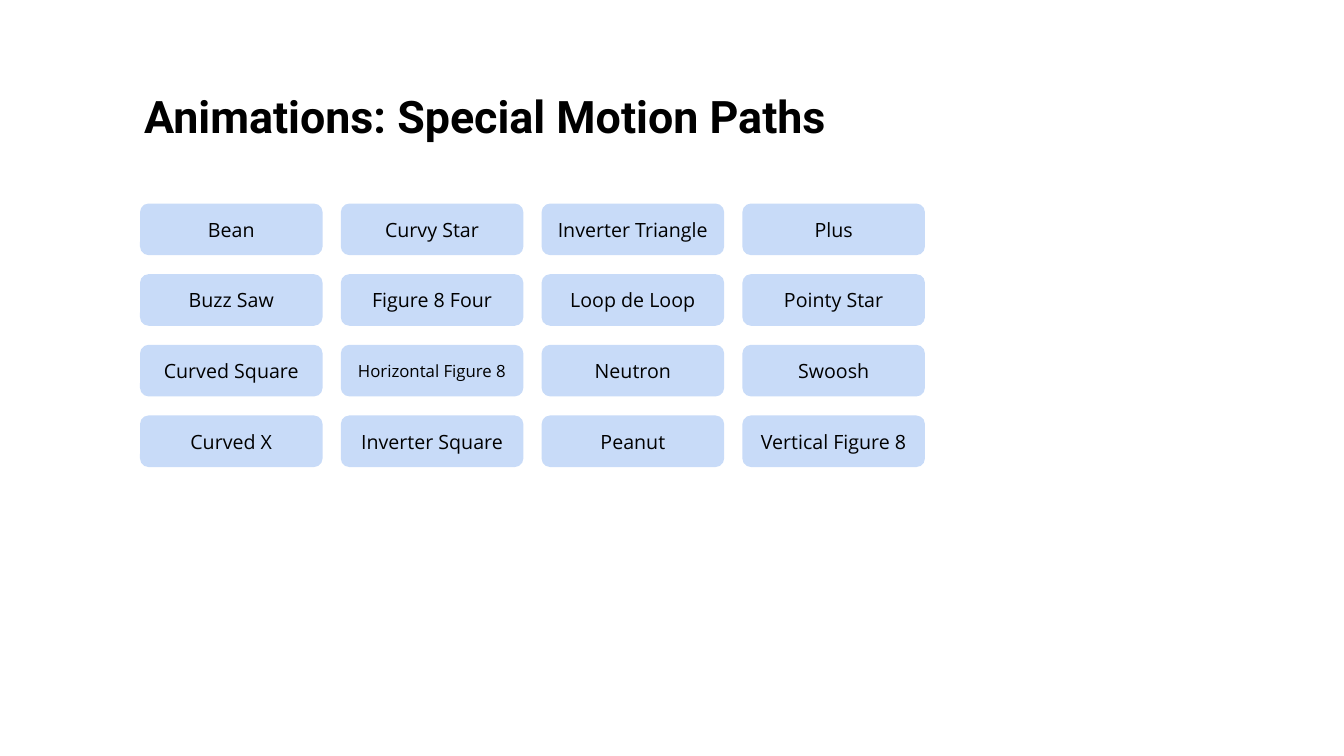
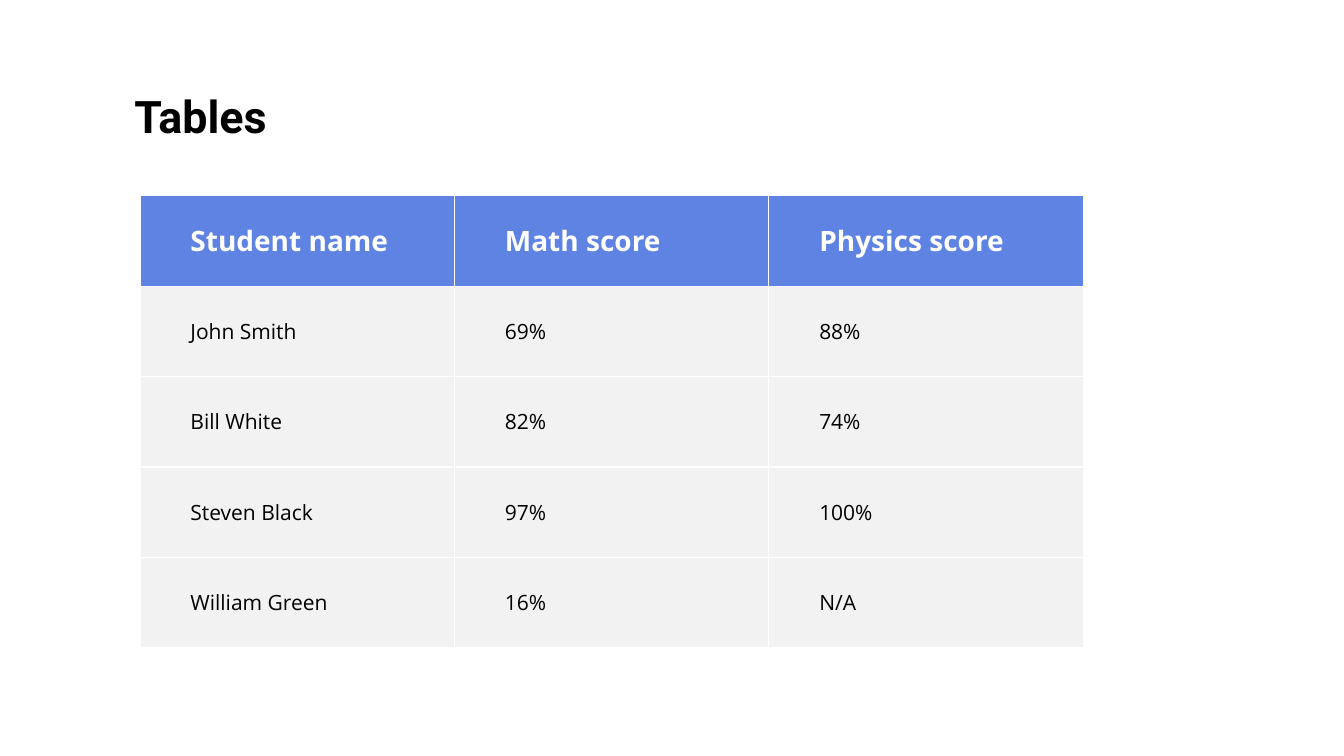
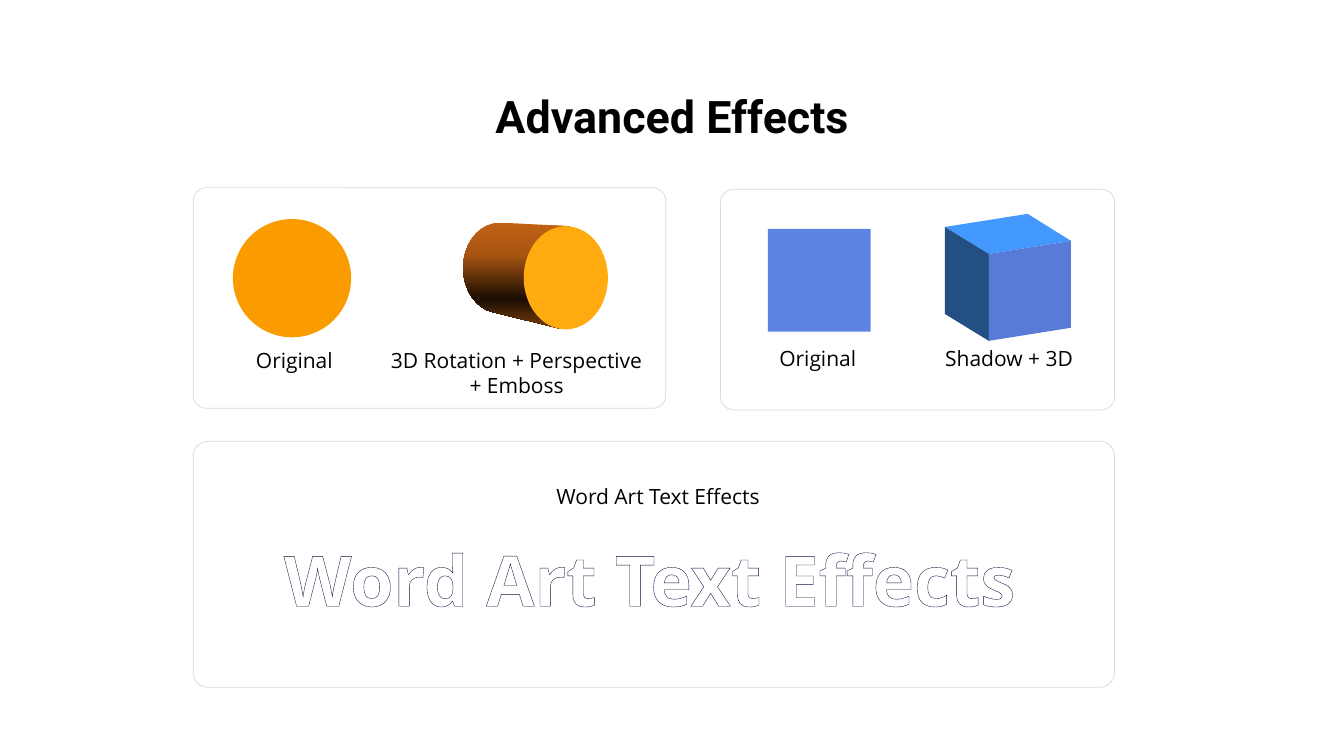
from copy import deepcopy
from dataclasses import dataclass
from math import cos, radians, sin

from lxml import etree
from pptx import Presentation
from pptx import util as u
from pptx.dml import color
from pptx.enum import shapes, text
from pptx.oxml import ns


@dataclass(frozen=True)
class Theme:
    heading: str = "Roboto"
    body: str = "Open Sans"
    ink: str = "000000"
    white: str = "FFFFFF"
    tile: str = "C8DBF8"
    blue: str = "5E83E2"
    row: str = "F2F2F2"
    rim: str = "D9D9D9"
    orange: str = "FA9B00"
    lit_orange: str = "FFAB10"
    cube_top: str = "4499FF"
    cube_side: str = "234F83"
    cube_front: str = "587BD7"
    outline: str = "130F3F"
    barrel: tuple = ((0, "C06214"), (0.3, "A85511"), (0.72, "1A0D02"), (1, "7A400D"))
    title_size: int = 32
    art_size: int = 50
    header_size: int = 20
    text_size: int = 15
    tile_size: int = 14
    small_size: int = 12


theme = Theme()
LEFT, CENTER = text.PP_ALIGN.LEFT, text.PP_ALIGN.CENTER
TOP, MIDDLE = text.MSO_ANCHOR.TOP, text.MSO_ANCHOR.MIDDLE


def write(frame, words, *, size=theme.text_size, font=theme.body, ink=theme.ink,
          bold=False, align=CENTER, anchor=TOP, wrap=True):
    frame.word_wrap = wrap
    frame.auto_size = text.MSO_AUTO_SIZE.NONE
    frame.vertical_anchor = anchor
    for index, line in enumerate(words.split("\n")):
        para = frame.add_paragraph() if index else frame.paragraphs[0]
        para.alignment = align
        span = para.add_run()
        span.text = line
        span.font.name = font
        span.font.size = u.Pt(size)
        span.font.bold = bold
        span.font.color.rgb = color.RGBColor.from_string(ink)
    return span


def paint(shape, fill, line=None):
    shape.shadow.inherit = False
    shape.fill.solid()
    shape.fill.fore_color.rgb = color.RGBColor.from_string(fill)
    if line:
        shape.line.color.rgb = color.RGBColor.from_string(line)
        shape.line.width = u.Pt(0.5)
    else:
        shape.line.fill.background()
    return shape


deck = Presentation()
deck.slide_width, deck.slide_height = u.Cm(33.87), u.Cm(19.05)

pages = []
for words, left, align in [
    ("Animations: Special Motion Paths", 3.38, LEFT),
    ("Tables", 3.13, LEFT),
    ("Advanced Effects", 1.7, CENTER),
]:
    page = deck.slides.add_slide(deck.slide_layouts[5])
    title = page.shapes.title
    title.left, title.top = u.Cm(left), u.Cm(1.32)
    title.width, title.height = u.Cm(30.48), u.Cm(3.18)
    write(title.text_frame, words, size=theme.title_size, font=theme.heading,
          bold=True, align=align, anchor=MIDDLE)
    pages.append(page)
paths_page, table_page, effects_page = pages

motion_paths = [
    ["Bean", "Curvy Star", "Inverter Triangle", "Plus"],
    ["Buzz Saw", "Figure 8 Four", "Loop de Loop", "Pointy Star"],
    ["Curved Square", "Horizontal Figure 8", "Neutron", "Swoosh"],
    ["Curved X", "Inverter Square", "Peanut", "Vertical Figure 8"],
]
for row, names in enumerate(motion_paths):
    for column, name in enumerate(names):
        tile = paths_page.shapes.add_shape(
            shapes.MSO_SHAPE.ROUNDED_RECTANGLE, u.Cm(3.53 + 5.06 * column),
            u.Cm(5.13 + 1.78 * row), u.Cm(4.6), u.Cm(1.3))
        paint(tile, theme.tile)
        size = theme.small_size if len(name) > 17 else theme.tile_size
        write(tile.text_frame, name, size=size, anchor=MIDDLE)

scores = [
    ["Student name", "Math score", "Physics score"],
    ["John Smith", "69%", "88%"],
    ["Bill White", "82%", "74%"],
    ["Steven Black", "97%", "100%"],
    ["William Green", "16%", "N/A"],
]
table = table_page.shapes.add_table(
    len(scores), len(scores[0]), u.Cm(3.53), u.Cm(4.93), u.Cm(23.77), u.Cm(11.4)).table
for row, values in enumerate(scores):
    header = row == 0
    for column, value in enumerate(values):
        cell = table.cell(row, column)
        cell.vertical_anchor = MIDDLE
        cell.margin_left = u.Cm(1.27)
        write(cell.text_frame, value, align=LEFT, bold=header,
              size=theme.header_size if header else theme.text_size,
              ink=theme.white if header else theme.ink)
        properties = cell._tc.get_or_add_tcPr()
        for side in ("a:lnL", "a:lnR", "a:lnT", "a:lnB"):
            border = etree.SubElement(properties, ns.qn(side), w=str(u.Pt(1)))
            solid = etree.SubElement(border, ns.qn("a:solidFill"))
            etree.SubElement(solid, ns.qn("a:srgbClr"), val=theme.white)
        cell.fill.solid()
        cell.fill.fore_color.rgb = color.RGBColor.from_string(
            theme.blue if header else theme.row)

for left, top, width, height in [
    (18.16, 4.77, 9.93, 5.56), (4.87, 4.73, 11.91, 5.56), (4.87, 11.12, 23.22, 6.2)
]:
    card = effects_page.shapes.add_shape(
        shapes.MSO_SHAPE.ROUNDED_RECTANGLE, u.Cm(left), u.Cm(top), u.Cm(width), u.Cm(height))
    card.adjustments[0] = 0.06
    paint(card, theme.white, theme.rim)

barrel_arc = [(12.6 + 0.93 * cos(radians(angle)), 6.75 + 1.14 * sin(radians(angle)))
              for angle in range(270, 90, -10)]
barrel_points = [(14.36, 5.7), *barrel_arc, (14.16, 8.29)]
back, far, right, near = (23.81, 5.72), (25.9, 5.39), (26.99, 6.07), (24.92, 6.4)
back_low, right_low, near_low = [(x, y + 2.19) for x, y in (back, right, near)]
solids = []
for points, fill in [
    (barrel_points, theme.orange),
    ([back, far, right, near], theme.cube_top),
    ([back, near, near_low, back_low], theme.cube_side),
    ([near, right, right_low, near_low], theme.cube_front),
]:
    corners = [(u.Cm(x), u.Cm(y)) for x, y in points]
    builder = effects_page.shapes.build_freeform(*corners[0])
    builder.add_line_segments(corners[1:], close=True)
    solids.append(paint(builder.convert_to_shape(), fill))

barrel_fill = solids[0].fill
barrel_fill.gradient()
barrel_fill.gradient_angle = 270
stop_list = barrel_fill._fill._gradFill.gsLst
while len(stop_list) < len(theme.barrel):
    stop_list.append(deepcopy(stop_list[0]))
for stop, (position, shade) in zip(barrel_fill.gradient_stops, theme.barrel):
    stop.position = position
    stop.color.rgb = color.RGBColor.from_string(shade)

for kind, left, top, width, height, fill in [
    (shapes.MSO_SHAPE.OVAL, 5.87, 5.52, 2.98, 2.98, theme.orange),
    (shapes.MSO_SHAPE.OVAL, 13.2, 5.7, 2.12, 2.6, theme.lit_orange),
    (shapes.MSO_SHAPE.RECTANGLE, 19.35, 5.77, 2.59, 2.59, theme.blue),
]:
    paint(effects_page.shapes.add_shape(
        kind, u.Cm(left), u.Cm(top), u.Cm(width), u.Cm(height)), fill)

for words, left, top, width, height in [
    ("Original", 6.19, 8.64, 2.46, 0.89),
    ("3D Rotation + Perspective\n+ Emboss", 9.58, 8.64, 6.88, 1.55),
    ("Original", 19.38, 8.59, 2.46, 0.89),
    ("Shadow + 3D", 23.55, 8.59, 3.76, 0.89),
    ("Word Art Text Effects", 13.74, 12.07, 5.69, 0.89),
]:
    caption = effects_page.shapes.add_textbox(
        u.Cm(left), u.Cm(top), u.Cm(width), u.Cm(height))
    write(caption.text_frame, words, wrap=False)

art_box = effects_page.shapes.add_textbox(u.Cm(6.12), u.Cm(13.39), u.Cm(20.52), u.Cm(2.39))
art = write(art_box.text_frame, "Word Art Text Effects", size=theme.art_size,
            ink=theme.white, bold=True)
outline = etree.Element(ns.qn("a:ln"), w=str(u.Pt(0.52)))
outline_fill = etree.SubElement(outline, ns.qn("a:solidFill"))
etree.SubElement(outline_fill, ns.qn("a:srgbClr"), val=theme.outline)
art.font._element.insert(0, outline)

deck.save("out.pptx")
